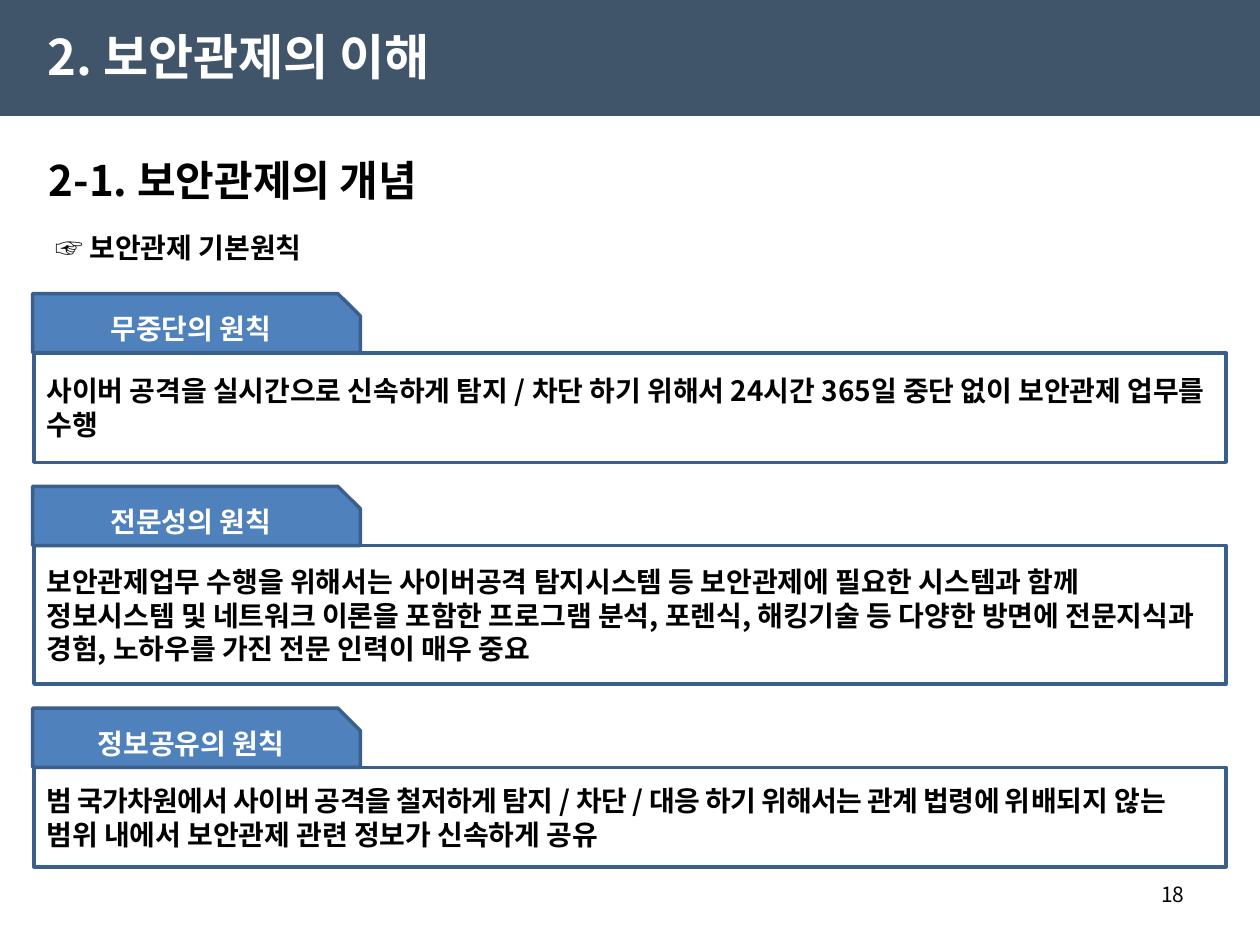
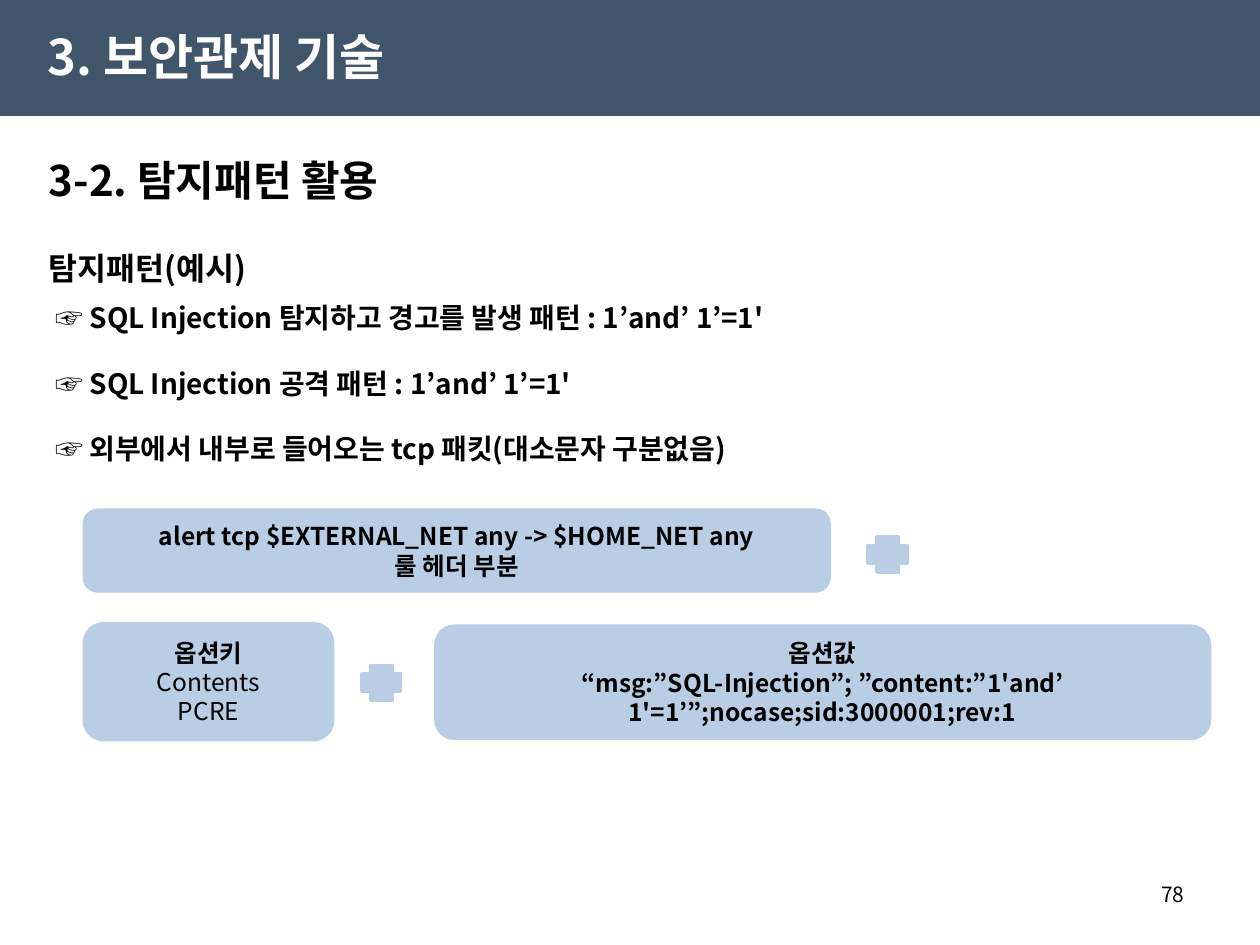
import pptx
import pptx.dml.color
import pptx.enum.shapes
import pptx.enum.text
import pptx.oxml.ns
import pptx.util
from lxml import etree

Inches = pptx.util.Inches
RGBColor = pptx.dml.color.RGBColor
PRESET = pptx.enum.shapes.MSO_SHAPE
ALIGN = pptx.enum.text.PP_ALIGN
ANCHOR = pptx.enum.text.MSO_ANCHOR

FONT = "Noto Sans CJK KR"
BAND = RGBColor(0x40, 0x54, 0x6A)
TAB = RGBColor(0x4F, 0x81, 0xBD)
OUTLINE = RGBColor(0x3A, 0x5F, 0x8C)
RULE_PART = RGBColor(0xB9, 0xCD, 0xE5)
WHITE = RGBColor(0xFF, 0xFF, 0xFF)
BLACK = RGBColor(0, 0, 0)

# A paragraph is a string, or a list of (text, format) runs.
PRINCIPLES = {
    "chapter": "2. 보안관제의 이해",
    "section": "2-1. 보안관제의 개념",
    "page": "18",
    "topic": "☞ 보안관제 기본원칙",
    # name, box height, statement
    "items": [
        ("무중단의 원칙", 0.87,
         "사이버 공격을 실시간으로 신속하게 탐지 / 차단 하기 위해서 24시간 365일 중단 없이 보안관제 업무를 수행"),
        ("전문성의 원칙", 1.10,
         "보안관제업무 수행을 위해서는 사이버공격 탐지시스템 등 보안관제에 필요한 시스템과 함께 "
         "정보시스템 및 네트워크 이론을 포함한 프로그램 분석, 포렌식, 해킹기술 등 다양한 방면에 "
         "전문지식과 경험, 노하우를 가진 전문 인력이 매우 중요"),
        ("정보공유의 원칙", 0.79,
         [("범 국가차원에서 사이버 공격을 철저하게 탐지 / 차단 / 대응 하기 위해서는 관계 법령에 위",
           {"spacing": -0.3}),
          ("배되지 않는 범위 내에서 보안관제 관련 정보가 신속하게 공유", {})]),
    ],
}

PATTERNS = {
    "chapter": "3. 보안관제 기술",
    "section": "3-2. 탐지패턴 활용",
    "page": "78",
    "topic": "탐지패턴(예시)",
    "examples": [
        "☞ SQL Injection 탐지하고 경고를 발생 패턴 : 1’and’ 1’=1'",
        "☞ SQL Injection 공격 패턴 : 1’and’ 1’=1'",
        "☞ 외부에서 내부로 들어오는 tcp 패킷(대소문자 구분없음)",
    ],
    # left, top, width, height, paragraphs
    "rule_parts": [
        (0.67, 4.05, 5.91, 0.64,
         ["alert tcp $EXTERNAL_NET any -> $HOME_NET any", "룰 헤더 부분"]),
        (0.67, 4.95, 1.97, 0.92,
         ["옵션키", [("Contents", {"bold": False})], [("PCRE", {"bold": False})]]),
        (3.46, 4.97, 6.14, 0.89,
         ["옵션값", "“msg:”SQL-Injection”; ”content:”1'and’ 1'=1’”;nocase;sid:3000001;rev:1"]),
    ],
    "plus_signs": [(6.89, 4.26), (2.87, 5.28)],
}

LEFT, WIDTH = 0.29, 9.43
TAB_LEFT, TAB_WIDTH, TAB_HEIGHT = 0.26, 2.6, 0.47
BOX_LEFT, BOX_WIDTH = 0.27, 9.46
FIRST_TAB_TOP, PRINCIPLE_GAP = 2.33, 0.19
FIRST_EXAMPLE_TOP, EXAMPLE_STEP = 2.34, 0.52


def format_run(run, size, color, bold, spacing=0):
    run.font.size = pptx.util.Pt(size)
    run.font.bold = bold
    run.font.color.rgb = color
    run.font.name = FONT
    props = run.font._element
    if spacing:
        props.set("spc", str(round(spacing * 100)))
    east_asian = etree.Element(pptx.oxml.ns.qn("a:ea"), typeface=FONT)
    props.find(pptx.oxml.ns.qn("a:latin")).addnext(east_asian)


def write(shape, paragraphs, size=16, color=BLACK, bold=True, align=ALIGN.LEFT,
          anchor=ANCHOR.MIDDLE, line_spacing=None, inset=0.1):
    frame = shape.text_frame
    frame.word_wrap = True
    frame.vertical_anchor = anchor
    frame.margin_left = Inches(inset)
    for index, content in enumerate(paragraphs):
        paragraph = frame.add_paragraph() if index else frame.paragraphs[0]
        paragraph.alignment = align
        if line_spacing:
            paragraph.line_spacing = line_spacing
        runs = [(content, {})] if isinstance(content, str) else content
        for text, changes in runs:
            run = paragraph.add_run()
            run.text = text
            format_run(run, **{"size": size, "color": color, "bold": bold, **changes})


def add_text(slide, box, text, **text_format):
    write(slide.shapes.add_textbox(*map(Inches, box)), [text], **text_format)


def add_preset(slide, preset, box, fill=None, line=None):
    shape = slide.shapes.add_shape(preset, *map(Inches, box))
    shape.shadow.inherit = False
    if fill is None:
        shape.fill.background()
    else:
        shape.fill.solid()
        shape.fill.fore_color.rgb = fill
    if line is None:
        shape.line.fill.background()
    else:
        shape.line.color.rgb = line
        shape.line.width = pptx.util.Pt(2)
    return shape


def add_hand_point(slide, top, text):
    add_text(slide, (LEFT, top, WIDTH, 0.37), text, anchor=ANCHOR.TOP, inset=0.15)


def start_slide(deck, content):
    """Add a slide with the band, both headings and the page number."""
    slide = deck.slides.add_slide(deck.slide_layouts[6])
    add_preset(slide, PRESET.RECTANGLE, (0, 0, 10, 0.92), fill=BAND)
    add_text(slide, (0.28, 0.13, 4.72, 0.63), content["chapter"], size=28, color=WHITE)
    add_text(slide, (LEFT, 1.15, WIDTH, 0.55), content["section"], size=24)
    add_text(slide, (7.17, 6.95, 2.33, 0.4), content["page"], size=12, bold=False,
             align=ALIGN.RIGHT, anchor=ANCHOR.TOP)
    return slide


def build_principles(deck):
    slide = start_slide(deck, PRINCIPLES)
    add_hand_point(slide, 1.78, PRINCIPLES["topic"])
    top = FIRST_TAB_TOP
    for name, height, statement in PRINCIPLES["items"]:
        box_top = top + TAB_HEIGHT
        statement_box = add_preset(slide, PRESET.RECTANGLE,
                                   (BOX_LEFT, box_top, BOX_WIDTH, height), line=OUTLINE)
        write(statement_box, [statement])
        tab = add_preset(slide, PRESET.SNIP_1_RECTANGLE,
                         (TAB_LEFT, top, TAB_WIDTH, TAB_HEIGHT), fill=TAB, line=OUTLINE)
        tab.adjustments[0] = 0.38
        write(tab, [name], color=WHITE, align=ALIGN.CENTER)
        top = box_top + height + PRINCIPLE_GAP


def build_patterns(deck):
    slide = start_slide(deck, PATTERNS)
    add_text(slide, (LEFT, 1.78, WIDTH, 0.5), PATTERNS["topic"], size=18,
             anchor=ANCHOR.TOP, line_spacing=1.5)
    for index, example in enumerate(PATTERNS["examples"]):
        add_hand_point(slide, FIRST_EXAMPLE_TOP + index * EXAMPLE_STEP, example)
    for *box, paragraphs in PATTERNS["rule_parts"]:
        part = add_preset(slide, PRESET.ROUNDED_RECTANGLE, box, RULE_PART, RULE_PART)
        write(part, paragraphs, size=14, align=ALIGN.CENTER)
    for left, top in PATTERNS["plus_signs"]:
        add_preset(slide, PRESET.CROSS, (left, top, 0.31, 0.28), RULE_PART, RULE_PART)


def main():
    deck = pptx.Presentation()
    deck.slide_width, deck.slide_height = Inches(10), Inches(7.5)
    build_principles(deck)
    build_patterns(deck)
    deck.save("out.pptx")


if __name__ == "__main__":
    main()
